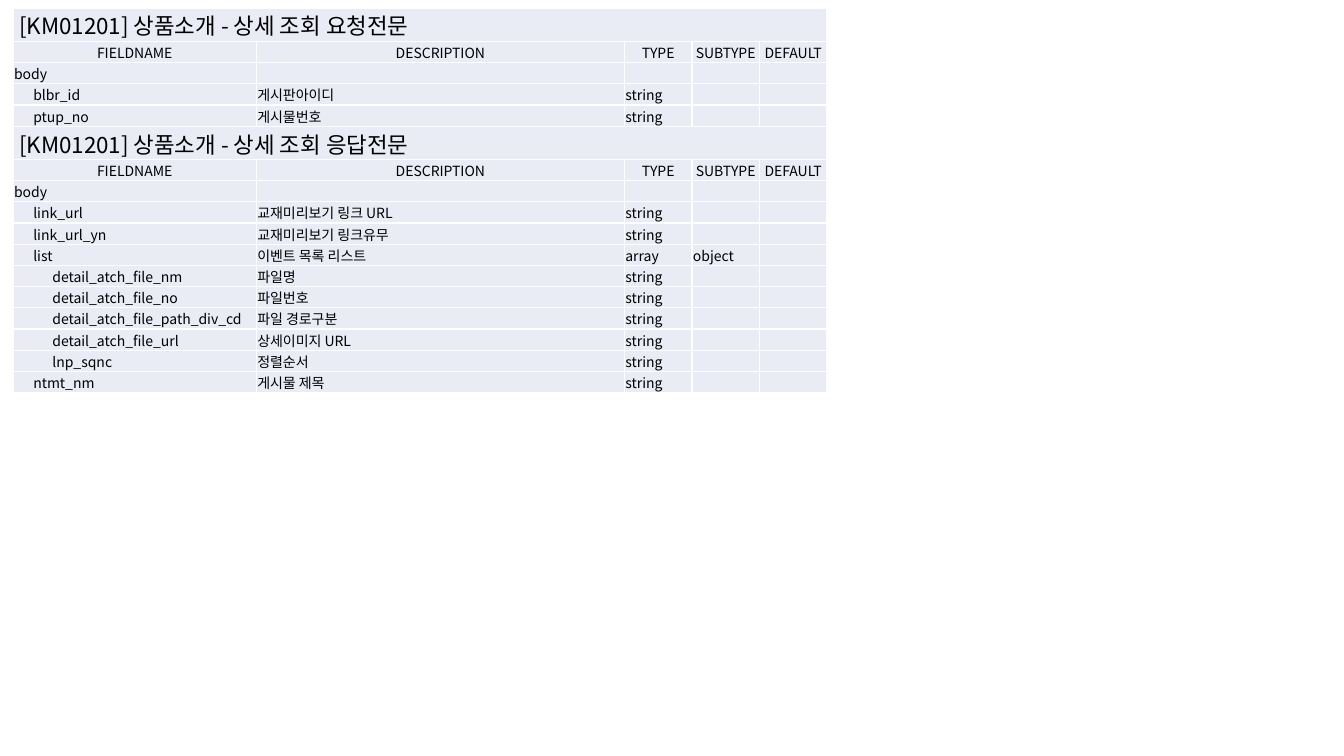
from lxml.etree import SubElement
from pptx import Presentation
from pptx.dml.color import RGBColor
from pptx.enum.text import MSO_ANCHOR as Anchor, PP_ALIGN as Align
from pptx.oxml.ns import qn
from pptx.util import Inches, Pt

BLACK = RGBColor(0x00, 0x00, 0x00)
WHITE = RGBColor(0xFF, 0xFF, 0xFF)
PALE_BLUE = RGBColor(0xE9, 0xEB, 0xF5)

COLUMN = 0.67
ROW = 0.18
COLUMN_SPANS = [3.6, 5.45, 1, 1, 1]
TITLE_SPAN = 1.55
HEADINGS = ["FIELDNAME", "DESCRIPTION", "TYPE", "SUBTYPE", "DEFAULT"]

MESSAGES = [
    ("[KM01201] 상품소개 - 상세 조회 요청전문", [
        (0, "body"),
        (1, "blbr_id", "게시판아이디", "string"),
        (1, "ptup_no", "게시물번호", "string"),
    ]),
    ("[KM01201] 상품소개 - 상세 조회 응답전문", [
        (0, "body"),
        (1, "link_url", "교재미리보기 링크 URL", "string"),
        (1, "link_url_yn", "교재미리보기 링크유무", "string"),
        (1, "list", "이벤트 목록 리스트", "array", "object"),
        (2, "detail_atch_file_nm", "파일명", "string"),
        (2, "detail_atch_file_no", "파일번호", "string"),
        (2, "detail_atch_file_path_div_cd", "파일 경로구분", "string"),
        (2, "detail_atch_file_url", "상세이미지 URL", "string"),
        (2, "lnp_sqnc", "정렬순서", "string"),
        (1, "ntmt_nm", "게시물 제목", "string"),
    ]),
]


class SpecPage:
    font_name = "Noto Sans CJK KR"
    text_size = 10
    title_size = 16
    inset = 0.01
    title_indent = 0.05
    level_indent = 0.19

    def __init__(self, deck):
        self.page = deck.slides.add_slide(deck.slide_layouts[6])

    def add_borders(self, cell):
        properties = cell._tc.get_or_add_tcPr()
        for side in ("a:lnL", "a:lnR", "a:lnT", "a:lnB"):
            line = SubElement(properties, qn(side), w=str(Pt(1)))
            fill = SubElement(line, qn("a:solidFill"))
            SubElement(fill, qn("a:srgbClr"), val=str(WHITE))

    def fill_cell(self, cell, text="", size=text_size, indent=0, align=Align.LEFT):
        self.add_borders(cell)
        cell.fill.solid()
        cell.fill.fore_color.rgb = PALE_BLUE
        cell.vertical_anchor = Anchor.BOTTOM
        cell.margin_left = Inches(self.inset + indent)
        cell.margin_right = cell.margin_top = Inches(self.inset)
        cell.margin_bottom = 0
        para = cell.text_frame.paragraphs[0]
        para.text = text
        para.alignment = align
        for span in para.runs:
            span.font.size = Pt(size)
            span.font.color.rgb = BLACK
            span.font.name = self.font_name
            SubElement(span.font._element, qn("a:ea"), typeface=self.font_name)
        if not text:
            SubElement(para._p, qn("a:endParaRPr"), sz=str(size * 100))

    def add_title_row(self, table, index, title):
        table.rows[index].height = Inches(TITLE_SPAN * ROW)
        cells = list(table.rows[index].cells)
        cells[0].merge(cells[-1])
        self.fill_cell(cells[0], title, self.title_size, self.title_indent)
        for cell in cells[1:]:
            self.fill_cell(cell)

    def add_heading_row(self, table, index):
        for cell, heading in zip(table.rows[index].cells, HEADINGS):
            self.fill_cell(cell, heading, align=Align.CENTER)

    def add_field_row(self, table, index, level, *values):
        padded = list(values) + [""] * (len(HEADINGS) - len(values))
        for column, value in enumerate(padded):
            indent = 0 if column else level * self.level_indent
            self.fill_cell(table.cell(index, column), value, indent=indent)

    def add_message_table(self, left, top, messages):
        row_count = sum(len(fields) + 2 for _, fields in messages)
        frame = self.page.shapes.add_table(
            row_count, len(HEADINGS), Inches(left), Inches(top),
            Inches(sum(COLUMN_SPANS) * COLUMN), Inches(row_count * ROW))
        table = frame.table
        table.first_row = table.horz_banding = False
        for column, span in zip(table.columns, COLUMN_SPANS):
            column.width = Inches(span * COLUMN)
        for row in table.rows:
            row.height = Inches(ROW)
        index = 0
        for title, fields in messages:
            self.add_title_row(table, index, title)
            self.add_heading_row(table, index + 1)
            for offset, field in enumerate(fields, 2):
                self.add_field_row(table, index + offset, *field)
            index += len(fields) + 2


def main():
    deck = Presentation()
    deck.slide_width = Inches(13.33)
    deck.slide_height = Inches(7.5)
    SpecPage(deck).add_message_table(0.13, 0.08, MESSAGES)
    deck.save("out.pptx")


if __name__ == "__main__":
    main()
